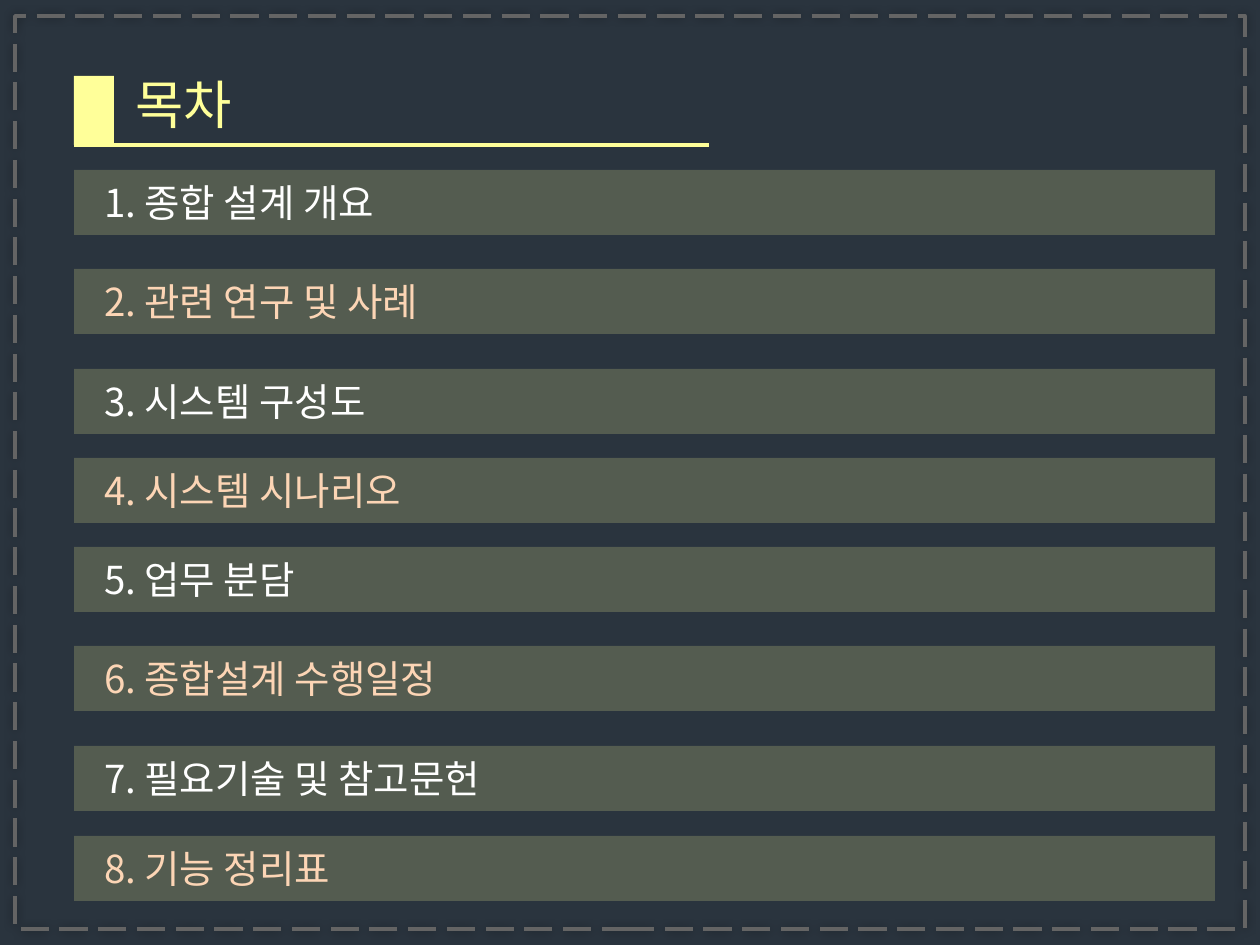
from dataclasses import dataclass

from lxml import etree
from pptx import Presentation
from pptx import util as u
from pptx.dml.color import RGBColor
from pptx.enum import dml, shapes, text
from pptx.oxml import ns, parse_xml

PX = 914400 // 126  # EMU in one px


@dataclass(frozen=True)
class Theme:
    font: str = "Noto Sans CJK KR"
    background: str = "2A343E"
    accent: str = "FFFF99"
    frame: str = "646464"
    plain: str = "FFFFFF"
    warm: str = "FCD5B5"
    title_pt: int = 30
    item_pt: int = 22
    line_pt: int = 2
    bar_alpha: int = 20


@dataclass(frozen=True)
class Box:
    left: int
    top: int
    width: int
    height: int

    def emu(self) -> tuple[int, ...]:
        return tuple(v * PX for v in (self.left, self.top, self.width, self.height))


@dataclass(frozen=True)
class Item:
    top: int
    label: str


THEME = Theme()
BAR_LEFT, BAR_WIDTH, BAR_HEIGHT, BAR_INDENT = 74, 1141, 65, 30
ITEMS = [
    Item(170, "종합 설계 개요"),
    Item(269, "관련 연구 및 사례"),
    Item(369, "시스템 구성도"),
    Item(458, "시스템 시나리오"),
    Item(547, "업무 분담"),
    Item(646, "종합설계 수행일정"),
    Item(746, "필요기술 및 참고문헌"),
    Item(836, "기능 정리표"),
]


def rgb(color: str) -> RGBColor:
    return RGBColor.from_string(color)


def add_rect(parent, box: Box, fill: str | None = None):
    sp = parent.add_shape(shapes.MSO_SHAPE.RECTANGLE, *box.emu())
    sp.shadow.inherit = False
    sp.line.fill.background()
    if fill:
        sp.fill.solid()
        sp.fill.fore_color.rgb = rgb(fill)
    else:
        sp.fill.background()
    return sp


def add_run(p, content: str, size: int, color: str) -> None:
    r = p.add_run()
    r.text = content
    r.font.size = u.Pt(size)
    r.font.color.rgb = rgb(color)
    r.font.name = THEME.font
    ea = etree.SubElement(r.font._element, ns.qn("a:ea"))
    ea.set("typeface", THEME.font)


def add_title(s, title: str) -> None:
    group = s.shapes.add_group_shape().shapes
    tb = group.add_textbox(*Box(123, 66, 277, 77).emu())
    tf = tb.text_frame
    tf.word_wrap = True
    tf.auto_size = text.MSO_AUTO_SIZE.SHAPE_TO_FIT_TEXT
    add_run(tf.paragraphs[0], title, THEME.title_pt, THEME.accent)

    rule_y = 145 * PX
    rule = group.add_connector(
        shapes.MSO_CONNECTOR.STRAIGHT, BAR_LEFT * PX, rule_y, 709 * PX, rule_y)
    rule.line.color.rgb = rgb(THEME.accent)
    rule.line.width = u.Pt(THEME.line_pt)
    etree.SubElement(rule._element.spPr, ns.qn("a:effectLst"))
    add_rect(group, Box(BAR_LEFT, 76, 40, 69), THEME.accent)


def add_frame(s) -> None:
    sp = add_rect(s.shapes, Box(15, 16, 1230, 913))
    sp.line.color.rgb = rgb(THEME.frame)
    sp.line.width = u.Pt(THEME.line_pt)
    sp.line.dash_style = dml.MSO_LINE.LONG_DASH
    effects = sp._element.spPr.find(ns.qn("a:effectLst"))
    effects.append(parse_xml(
        f'<a:outerShdw {ns.nsdecls("a")} blurRad="{u.Pt(5)}" dist="0" dir="0">'
        '<a:srgbClr val="000000"><a:alpha val="40000"/></a:srgbClr></a:outerShdw>'))


def add_item(s, number: int, item: Item) -> None:
    sp = add_rect(s.shapes, Box(BAR_LEFT, item.top, BAR_WIDTH, BAR_HEIGHT), THEME.accent)
    color = sp._element.spPr.find(ns.qn("a:solidFill"))[0]
    etree.SubElement(color, ns.qn("a:alpha")).set("val", str(THEME.bar_alpha * 1000))
    tf = sp.text_frame
    tf.word_wrap = True
    tf.margin_left = BAR_INDENT * PX
    tf.vertical_anchor = text.MSO_ANCHOR.MIDDLE
    p = tf.paragraphs[0]
    p.alignment = text.PP_ALIGN.LEFT
    add_run(p, f"{number}. {item.label}", THEME.item_pt,
            THEME.plain if number % 2 else THEME.warm)


def main() -> None:
    prs = Presentation()
    prs.slide_width, prs.slide_height = u.Inches(10), u.Inches(7.5)
    s = prs.slides.add_slide(prs.slide_layouts[6])

    # Backdrop, heading and dashed frame
    add_rect(s.shapes, Box(0, 0, 1260, 945), THEME.background)
    add_title(s, "목차")
    add_frame(s)

    # Contents, alternating text colours
    for number, item in enumerate(ITEMS, start=1):
        add_item(s, number, item)

    prs.save("out.pptx")


if __name__ == "__main__":
    main()
